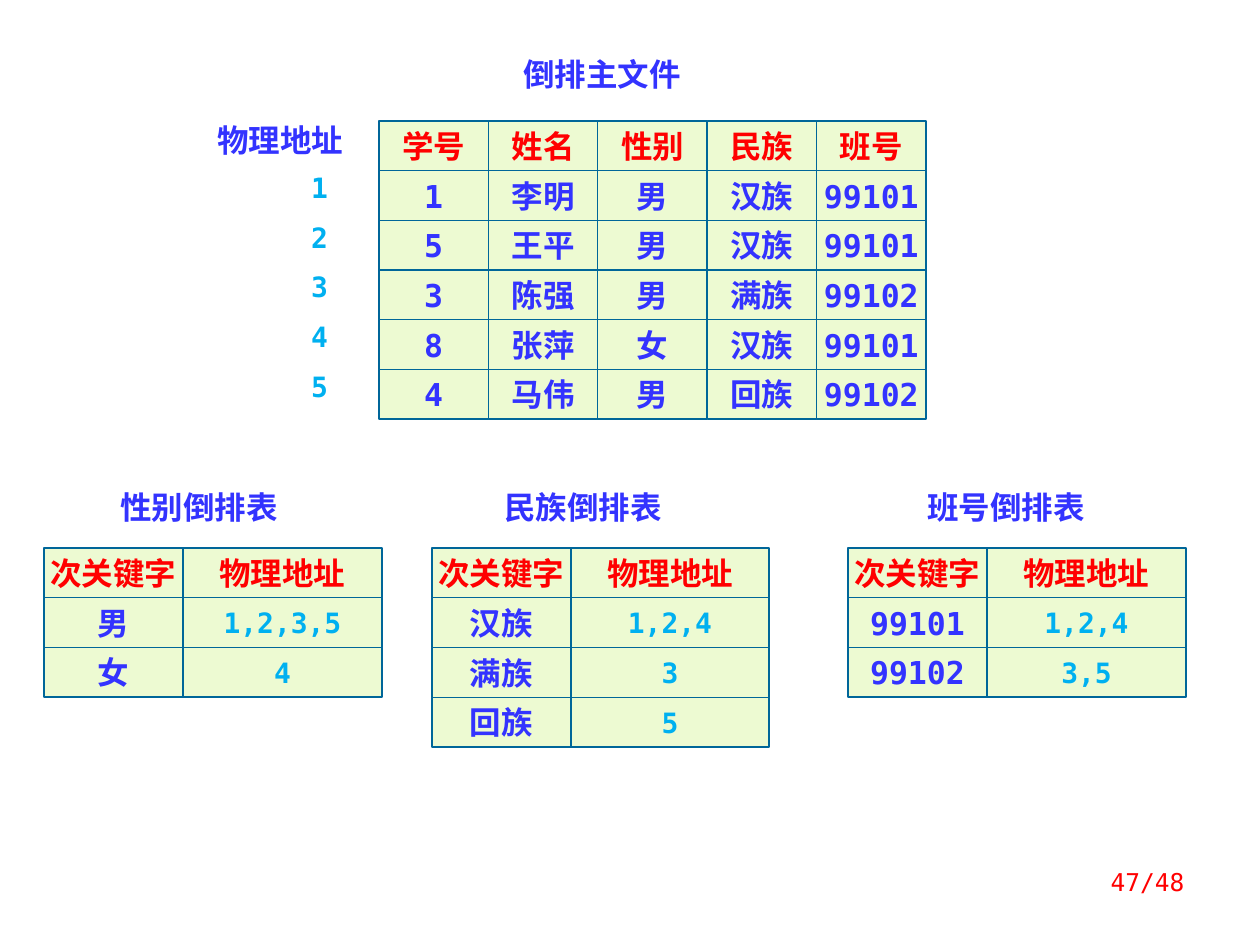
from dataclasses import dataclass
from itertools import accumulate

from pptx import Presentation
from pptx import util as u
from pptx.dml.color import RGBColor
from pptx.enum import lang, shapes, text

PX = 914400 / 126


@dataclass(frozen=True)
class Theme:
    face: str = "DejaVu Sans Mono"
    head: str = "FF0000"
    body: str = "3333FF"
    address: str = "00B0F0"
    fill: str = "EDFAD2"
    border: str = "006699"
    border_pt: float = 0.75
    body_size: int = 18
    address_size: int = 16
    page_size: int = 14


THEME = Theme()
HEAD = (THEME.head, THEME.body_size, True)
BODY = (THEME.body, THEME.body_size, True)
ADDRESS = (THEME.address, THEME.address_size, True)
PAGE = (THEME.head, THEME.page_size, False)
LEFT, CENTER, RIGHT = (text.PP_ALIGN.LEFT, text.PP_ALIGN.CENTER,
                       text.PP_ALIGN.RIGHT)


def px(length):
    return u.Emu(round(length * PX))


def write(frame, words, style, align):
    color, size, bold = style
    para = frame.paragraphs[0]
    para.alignment = align
    span = para.add_run()
    span.text = words
    formats = {"name": THEME.face, "size": u.Pt(size), "bold": bold,
               "language_id": lang.MSO_LANGUAGE_ID.SIMPLIFIED_CHINESE}
    for key, value in formats.items():
        setattr(span.font, key, value)
    span.font.color.rgb = RGBColor.from_string(color)


def add_label(parent, box, words, style, align=LEFT, inset=True):
    frame = parent.shapes.add_textbox(*map(px, box)).text_frame
    frame.word_wrap = True
    if not inset:
        for side in ("left", "top", "right", "bottom"):
            setattr(frame, f"margin_{side}", 0)
    write(frame, words, style, align)


def add_cell(parent, box, words, style):
    cell = parent.shapes.add_shape(shapes.MSO_SHAPE.RECTANGLE, *map(px, box))
    cell.shadow.inherit = False
    cell.fill.solid()
    cell.fill.fore_color.rgb = RGBColor.from_string(THEME.fill)
    cell.line.color.rgb = RGBColor.from_string(THEME.border)
    cell.line.width = u.Pt(THEME.border_pt)
    cell.text_frame.word_wrap = False
    cell.text_frame.vertical_anchor = text.MSO_ANCHOR.MIDDLE
    write(cell.text_frame, words, style, CENTER)


def add_grid(parent, box, widths, rows, styles):
    """Cells under a heading row; styles gives one text style per column."""
    left, top, _, height = box
    step = height / len(rows)
    lefts = list(accumulate(widths, initial=left))
    for r, values in enumerate(rows):
        for x, width, value, style in zip(lefts, widths, values, styles):
            add_cell(parent, (x, top + r * step, width, step), value,
                     style if r else HEAD)


def add_main_file(page, box, rows):
    """Main file with its title above and physical addresses at its left."""
    left, top, width, height = box
    columns = len(rows[0])
    step = height / len(rows)
    add_label(page, (left + 132, top - 72, 284, 50), "倒排主文件", BODY)
    add_label(page, (left - 188, top, 179, 38), "物理地址", BODY, CENTER, False)
    for number in range(1, len(rows)):
        add_label(page, (left - 89, top + number * step, 59, 34),
                  str(number), ADDRESS, CENTER, False)
    add_grid(page, box, [width / columns] * columns, rows, [BODY] * columns)


def add_index(page, box, title, title_offset, entries):
    """Inverted list: title over a grid of keys and addresses, grouped."""
    left, top, width, height = box
    key_width = 139
    group = page.shapes.add_group_shape()
    add_grid(group, box, (key_width, width - key_width),
             [("次关键字", "物理地址"), *entries], (BODY, ADDRESS))
    add_label(group, (left + title_offset, top - 66, 228, 50), title, BODY)


def main():
    deck = Presentation()
    deck.slide_width, deck.slide_height = px(1260), px(945)
    page = deck.slides.add_slide(deck.slide_layouts[6])

    add_main_file(page, (379, 121, 547, 298), [
        ("学号", "姓名", "性别", "民族", "班号"),
        ("1", "李明", "男", "汉族", "99101"),
        ("5", "王平", "男", "汉族", "99101"),
        ("3", "陈强", "男", "满族", "99102"),
        ("8", "张萍", "女", "汉族", "99101"),
        ("4", "马伟", "男", "回族", "99102"),
    ])
    add_index(page, (44, 548, 338, 149), "性别倒排表", 64,
              [("男", "1,2,3,5"), ("女", "4")])
    add_index(page, (848, 548, 338, 149), "班号倒排表", 67,
              [("99101", "1,2,4"), ("99102", "3,5")])
    add_index(page, (432, 548, 337, 199), "民族倒排表", 60,
              [("汉族", "1,2,4"), ("满族", "3"), ("回族", "5")])
    add_label(page, (903, 861, 294, 63), "47/48", PAGE, RIGHT)
    deck.save("out.pptx")


if __name__ == "__main__":
    main()
